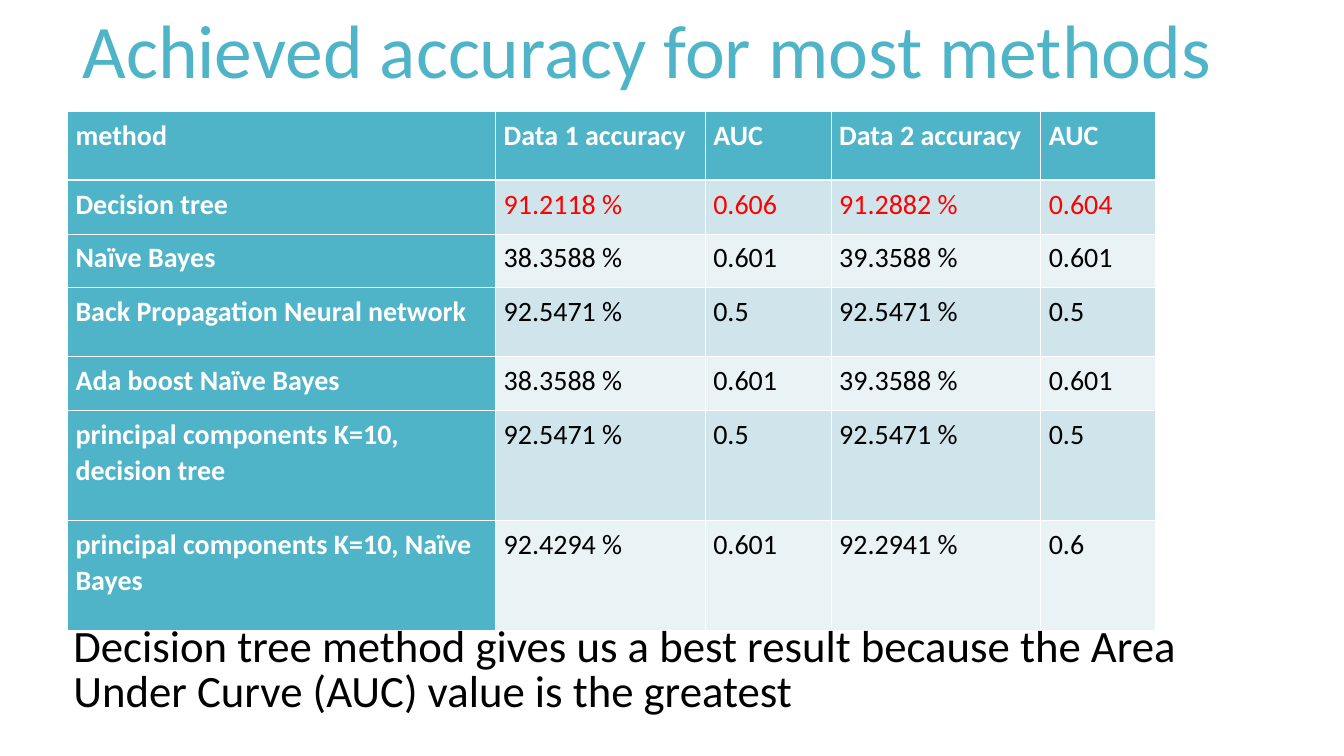
"""Build a slide comparing the accuracy and AUC of several classification methods."""
from lxml import etree
from pptx import Presentation
from pptx.dml.color import RGBColor
from pptx.enum.text import MSO_ANCHOR
from pptx.oxml.ns import qn
from pptx.util import Pt

PX = 9144
MIDDLE = MSO_ANCHOR.MIDDLE
FONT = "Calibri"
COLORS = {
    "accent": "50B4C8",
    "band_dark": "CFE5EB",
    "band_light": "E9F2F5",
    "white": "FFFFFF",
    "black": "000000",
    "highlight": "FF0000",
}
THIN, THICK = Pt(0.45), Pt(1.47)

COLUMN_WIDTHS = [425, 208, 125, 208, 114]
ROW_HEIGHTS = [69, 53, 53, 69, 53, 109, 109]
RESULTS = [
    ["method", "Data 1 accuracy", "AUC", "Data 2 accuracy", "AUC"],
    ["Decision tree", "91.2118 %", "0.606", "91.2882 %", "0.604"],
    ["Naïve Bayes", "38.3588 %", "0.601", "39.3588 %", "0.601"],
    ["Back Propagation Neural network", "92.5471 %", "0.5", "92.5471 %", "0.5"],
    ["Ada boost Naïve Bayes", "38.3588 %", "0.601", "39.3588 %", "0.601"],
    ["principal components K=10, decision tree", "92.5471 %", "0.5", "92.5471 %", "0.5"],
    ["principal components K=10, Naïve Bayes", "92.4294 %", "0.601", "92.2941 %", "0.6"],
]
TEXTS = [
    ("Achieved accuracy for most methods", 72, -3, 54, "accent"),
    ("Decision tree method gives us a best result because the Area "
     "Under Curve (AUC) value is the greatest", 63, 608, 32, "black"),
]


def format_text(text_frame, size, color, spacing, bold=False):
    paragraph = text_frame.paragraphs[0]
    paragraph.line_spacing = spacing
    font = paragraph.runs[0].font
    font.name = FONT
    font.size = Pt(size)
    font.bold = bold
    font.color.rgb = RGBColor.from_string(COLORS[color])


def add_border(cell, side, width):
    properties = cell._tc.get_or_add_tcPr()
    line = etree.SubElement(properties, qn(f"a:ln{side}"), w=str(width))
    fill = etree.SubElement(line, qn("a:solidFill"))
    etree.SubElement(fill, qn("a:srgbClr"), val=COLORS["white"])


presentation = Presentation()
presentation.slide_width = 1334 * PX
presentation.slide_height = 750 * PX
slide = presentation.slides.add_slide(presentation.slide_layouts[6])

table = slide.shapes.add_table(
    len(ROW_HEIGHTS), len(COLUMN_WIDTHS), 67 * PX, 110 * PX,
    sum(COLUMN_WIDTHS) * PX, sum(ROW_HEIGHTS) * PX).table
table.first_col = True
for column, width in zip(table.columns, COLUMN_WIDTHS):
    column.width = width * PX
for row, height in zip(table.rows, ROW_HEIGHTS):
    row.height = height * PX

for row_index, values in enumerate(RESULTS):
    for column_index, value in enumerate(values):
        cell = table.cell(row_index, column_index)
        cell.text_frame.text = value
        cell.margin_left = cell.margin_right = 8 * PX
        cell.margin_top = cell.margin_bottom = 5 * PX
        is_header = row_index == 0 or column_index == 0
        if is_header:
            fill_color, text_color = "accent", "white"
        else:
            fill_color = "band_dark" if row_index % 2 else "band_light"
            text_color = "highlight" if row_index == 1 else "black"
        format_text(cell.text_frame, 20, text_color, 1.07, is_header)
        add_border(cell, "L", THIN)
        add_border(cell, "R", THIN)
        add_border(cell, "T", THICK if row_index == 1 else THIN)
        add_border(cell, "B", THICK if row_index == 0 else THIN)
        cell.fill.solid()
        cell.fill.fore_color.rgb = RGBColor.from_string(COLORS[fill_color])

for text, left, top, size, color in TEXTS:
    text_frame = slide.shapes.add_textbox(left * PX, top * PX, 1178 * PX, 116 * PX).text_frame
    text_frame.word_wrap = True
    text_frame.vertical_anchor = MIDDLE
    text_frame.text = text
    format_text(text_frame, size, color, 0.85)

presentation.save("out.pptx")
